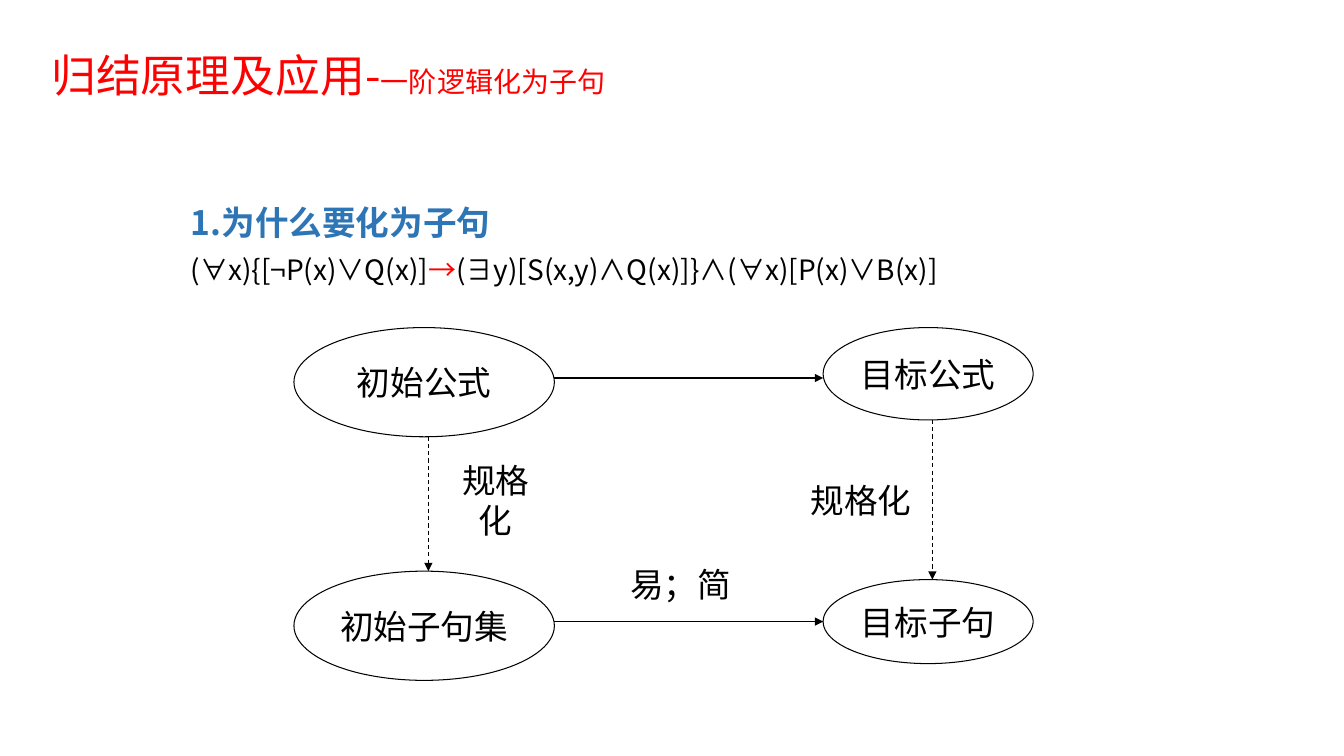
from typing import NamedTuple

from lxml.etree import SubElement
from pptx import Presentation
from pptx.dml.color import RGBColor
from pptx.enum.dml import MSO_LINE_DASH_STYLE as Dash
from pptx.enum.shapes import MSO_CONNECTOR as Connector, MSO_SHAPE as Preset
from pptx.enum.text import MSO_ANCHOR as Anchor, MSO_AUTO_SIZE as AutoSize, PP_ALIGN as Align
from pptx.oxml.ns import qn
from pptx.util import Pt

BLACK = RGBColor(0x00, 0x00, 0x00)
RED = RGBColor(0xFF, 0x00, 0x00)
BLUE = RGBColor(0x2E, 0x75, 0xB6)
HAN_FONT = "Noto Sans CJK SC"
TITLE_FONT = "Lato"
LINE_WIDTH = Pt(0.75)


class Box(NamedTuple):
    left: float
    top: float
    width: float
    height: float


class Label(NamedTuple):
    text: str
    box: Box


class Arrow(NamedTuple):
    start: tuple[float, float]
    end: tuple[float, float]
    dashed: bool = False


class Piece(NamedTuple):
    text: str
    size: float
    color: RGBColor
    bold: bool = False
    latin: str = HAN_FONT


NODES = [
    Label("初始公式", Box(210, 234, 186, 78)),
    Label("目标公式", Box(588, 234, 150, 66)),
    Label("初始子句集", Box(210, 408, 186, 78)),
    Label("目标子句", Box(588, 414, 150, 60)),
]
ARROWS = [
    Arrow((396, 270), (588, 270)),
    Arrow((396, 444), (588, 444)),
    Arrow((306, 312), (306, 408), dashed=True),
    Arrow((666, 300), (666, 414), dashed=True),
]
CAPTIONS = [
    Label("易；简", Box(420, 402, 132, 30)),
    Label("规格化", Box(312, 342, 84, 30)),
    Label("规格化", Box(570, 342, 90, 30)),
]
TITLE = [
    Piece("归结原理及", 32, RED, latin=TITLE_FONT),
    Piece("应用-", 32, RED),
    Piece("一阶逻辑化为子句", 20, RED),
]
HEADING = [Piece("1.为什么要化为子句", 24, BLUE, bold=True)]
FORMULA = [
    Piece("(∀x){[¬P(x)∨Q(x)]", 20, BLACK),
    Piece("→", 20, RED),
    Piece("(∃y)[S(x,y)∧Q(x)]}∧(∀x)[P(x)∨B(x)]", 20, BLACK),
]


def style_run(run, piece: Piece) -> None:
    font = run.font
    font.size, font.bold, font.name = Pt(piece.size), piece.bold, piece.latin
    font.color.rgb = piece.color
    SubElement(font._element, qn("a:ea"), typeface=HAN_FONT)


def write_pieces(paragraph, pieces: list[Piece], spacing: float, before: float = 0) -> None:
    """Fill a left-aligned, unbulleted paragraph with styled runs."""
    paragraph.alignment = Align.LEFT
    paragraph.line_spacing = spacing
    paragraph.space_before = Pt(before)
    properties = paragraph._p.get_or_add_pPr()
    properties.set("marL", "0")
    properties.set("indent", "0")
    SubElement(properties, qn("a:buNone"))
    for piece in pieces:
        run = paragraph.add_run()
        run.text = piece.text
        style_run(run, piece)


def place(placeholder, box: Box, anchor: Anchor):
    """Move a placeholder and return its text frame."""
    placeholder.left, placeholder.top, placeholder.width, placeholder.height = map(Pt, box)
    frame = placeholder.text_frame
    frame.word_wrap = True
    frame.auto_size = AutoSize.NONE
    frame.vertical_anchor = anchor
    return frame


def write_label(frame, text: str) -> None:
    frame.text = text
    frame.word_wrap = False
    frame.vertical_anchor = Anchor.MIDDLE
    frame.paragraphs[0].alignment = Align.CENTER
    style_run(frame.paragraphs[0].runs[0], Piece(text, 24, BLACK))


def draw_node(shapes, node: Label) -> None:
    ellipse = shapes.add_shape(Preset.OVAL, *map(Pt, node.box))
    ellipse.shadow.inherit = False
    ellipse.fill.background()
    ellipse.line.color.rgb = BLACK
    ellipse.line.width = LINE_WIDTH
    write_label(ellipse.text_frame, node.text)


def draw_arrow(shapes, arrow: Arrow) -> None:
    connector = shapes.add_connector(Connector.STRAIGHT, *map(Pt, arrow.start + arrow.end))
    connector.line.color.rgb = BLACK
    connector.line.width = LINE_WIDTH
    if arrow.dashed:
        connector.line.dash_style = Dash.DASH
    SubElement(connector.line._get_or_add_ln(), qn("a:tailEnd"), type="triangle")
    SubElement(connector._element.spPr, qn("a:effectLst"))


def main() -> None:
    deck = Presentation()
    deck.slide_width, deck.slide_height = Pt(960), Pt(540)
    slide = deck.slides.add_slide(deck.slide_layouts[1])
    shapes = slide.shapes

    title = place(shapes.title, Box(29.5, 3.6, 554.4, 104.4), Anchor.MIDDLE)
    write_pieces(title.paragraphs[0], TITLE, spacing=0.9)

    body = place(slide.placeholders[1], Box(129, 126, 764.6, 389.5), Anchor.TOP)
    write_pieces(body.paragraphs[0], HEADING, spacing=1.5)
    write_pieces(body.add_paragraph(), FORMULA, spacing=0.9, before=10)

    for node in NODES:
        draw_node(shapes, node)
    for arrow in ARROWS:
        draw_arrow(shapes, arrow)
    for caption in CAPTIONS:
        write_label(shapes.add_textbox(*map(Pt, caption.box)).text_frame, caption.text)

    deck.save("out.pptx")


if __name__ == "__main__":
    main()
